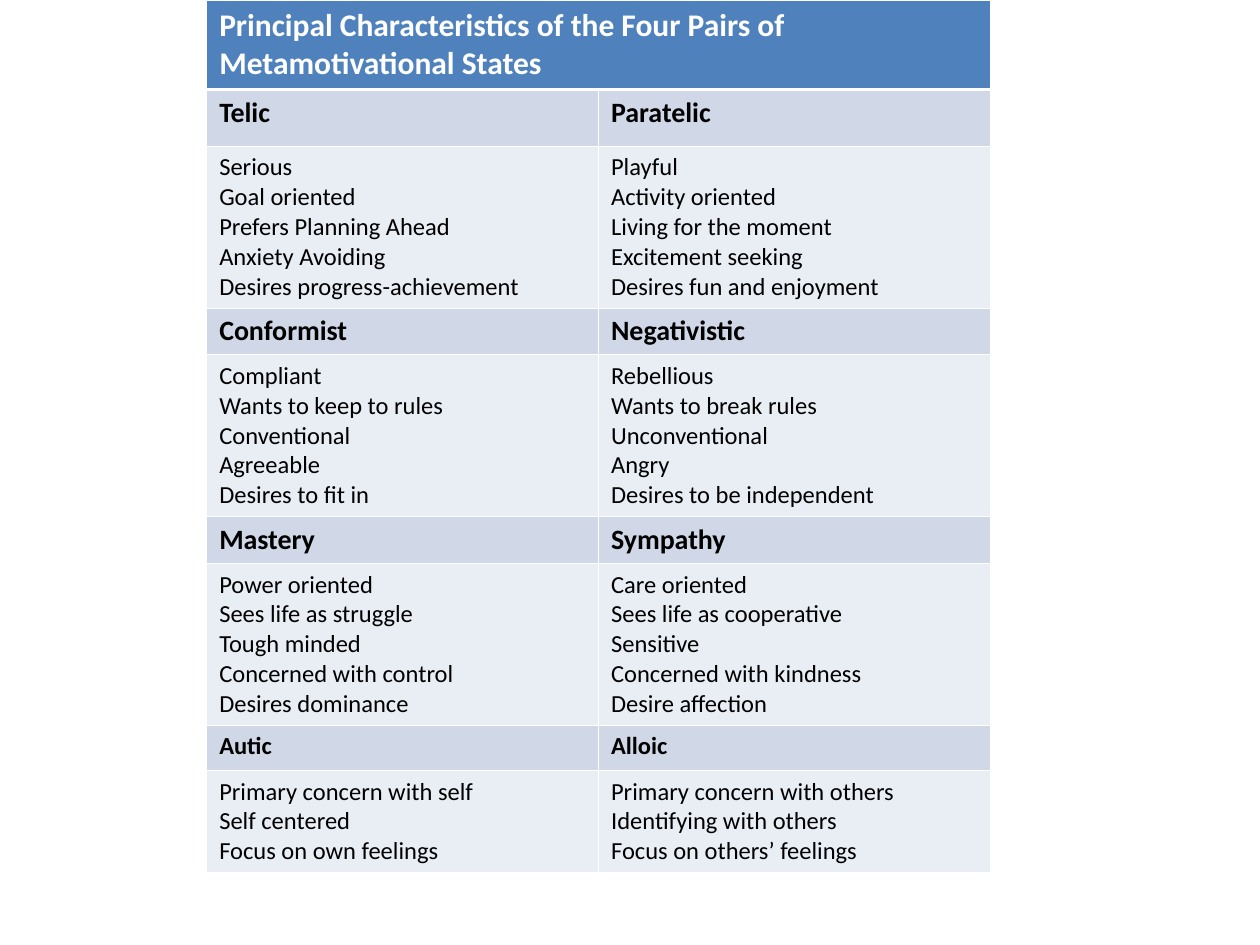
"""Build a slide with a table of the four pairs of metamotivational states."""
from lxml.etree import SubElement
from pptx import Presentation
from pptx.dml.color import RGBColor
from pptx.oxml.ns import qn
from pptx.util import Inches, Pt


def paint(color, code):
    color.rgb = RGBColor.from_string(code)


def style(cell, fill, size, bold, ink, top=0.45, base=0.45):
    props = cell._tc.get_or_add_tcPr()
    for side, width in zip("LRTB", (0.45, 0.45, top, base)):
        line = SubElement(props, qn(f"a:ln{side}"), w=str(Pt(width)))
        SubElement(SubElement(line, qn("a:solidFill")), qn("a:srgbClr"), val="FFFFFF")
    cell.fill.solid()
    paint(cell.fill.fore_color, fill)
    for para in cell.text_frame.paragraphs:
        for run in para.runs:
            run.font.name = "Calibri"
            run.font.size = Pt(size)
            run.font.bold = bold
            paint(run.font.color, ink)


pairs = [
    ("Telic", ["Serious", "Goal oriented", "Prefers Planning Ahead",
               "Anxiety Avoiding", "Desires progress-achievement"],
     "Paratelic", ["Playful", "Activity oriented", "Living for the moment",
                   "Excitement seeking", "Desires fun and enjoyment"], 16),
    ("Conformist", ["Compliant", "Wants to keep to rules", "Conventional",
                    "Agreeable", "Desires to fit in"],
     "Negativistic", ["Rebellious", "Wants to break rules", "Unconventional",
                      "Angry", "Desires to be independent"], 16),
    ("Mastery", ["Power oriented", "Sees life as struggle", "Tough minded",
                 "Concerned with control", "Desires dominance"],
     "Sympathy", ["Care oriented", "Sees life as cooperative", "Sensitive",
                  "Concerned with kindness", "Desire affection"], 16),
    ("Autic", ["Primary concern with self", "Self centered", "Focus on own feelings"],
     "Alloic", ["Primary concern with others", "Identifying with others",
                "Focus on others’ feelings"], 14),
]
heights = [0.7, 0.45, 1.27, 0.37, 1.27, 0.37, 1.27, 0.36, 0.8]

deck = Presentation()
deck.slide_width, deck.slide_height = Inches(10), Inches(7.5)
slide = deck.slides.add_slide(deck.slide_layouts[6])
table = slide.shapes.add_table(
    len(heights), 2, Inches(1.64), Inches(0), Inches(6.22), Inches(sum(heights))).table
for row, height in zip(table.rows, heights):
    row.height = Inches(height)
for col in table.columns:
    col.width = Inches(3.11)

title = table.cell(0, 0)
title.merge(table.cell(0, 1))
title.text_frame.text = "Principal Characteristics of the Four Pairs of Metamotivational States"
for col in range(2):
    style(table.cell(0, col), "4F81BD", 18, True, "FFFFFF", base=1.47)

for index, (left, lefts, right, rights, size) in enumerate(pairs):
    row = 1 + 2 * index
    for col, (name, traits) in enumerate([(left, lefts), (right, rights)]):
        head, body = table.cell(row, col), table.cell(row + 1, col)
        head.text_frame.text = name
        body.text_frame.text = "\n".join(traits)
        style(head, "D0D8E8", size, True, "000000", top=1.47 if row == 1 else 0.45)
        style(body, "E9EDF4", 14, False, "000000")

deck.save("out.pptx")
